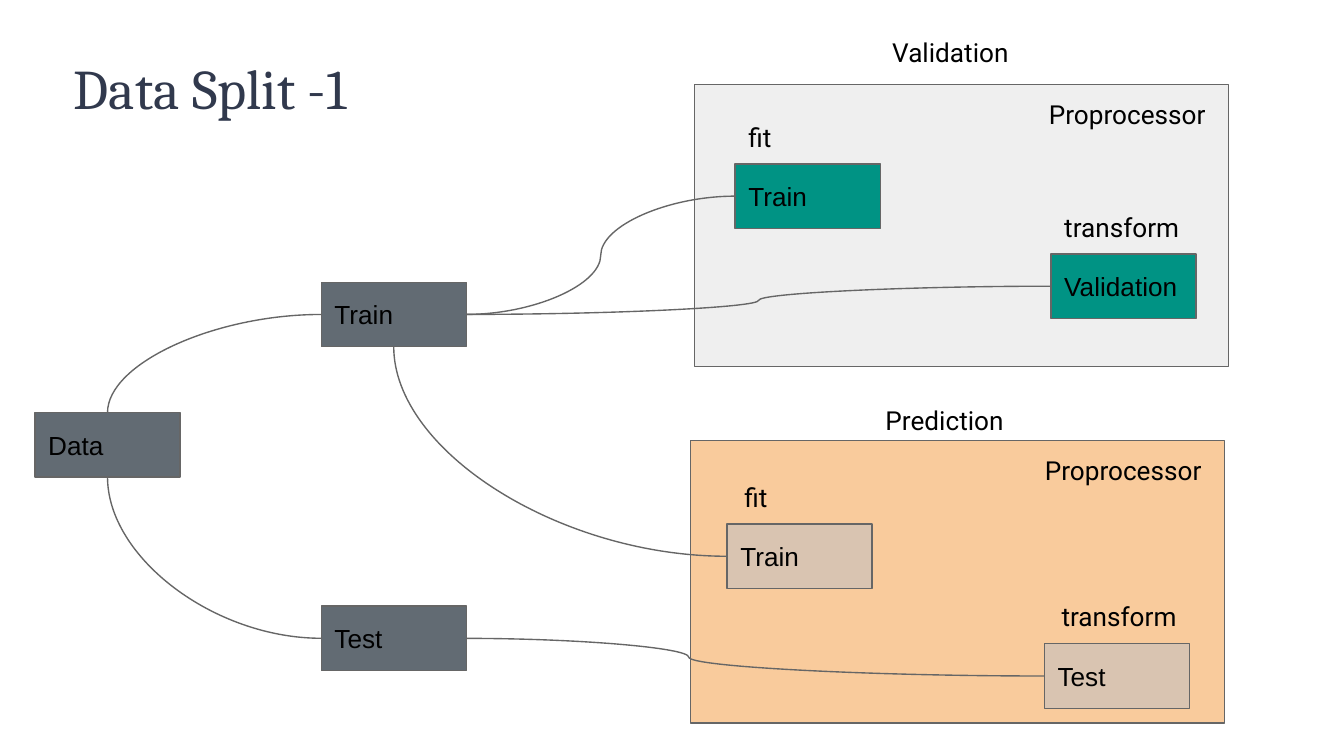
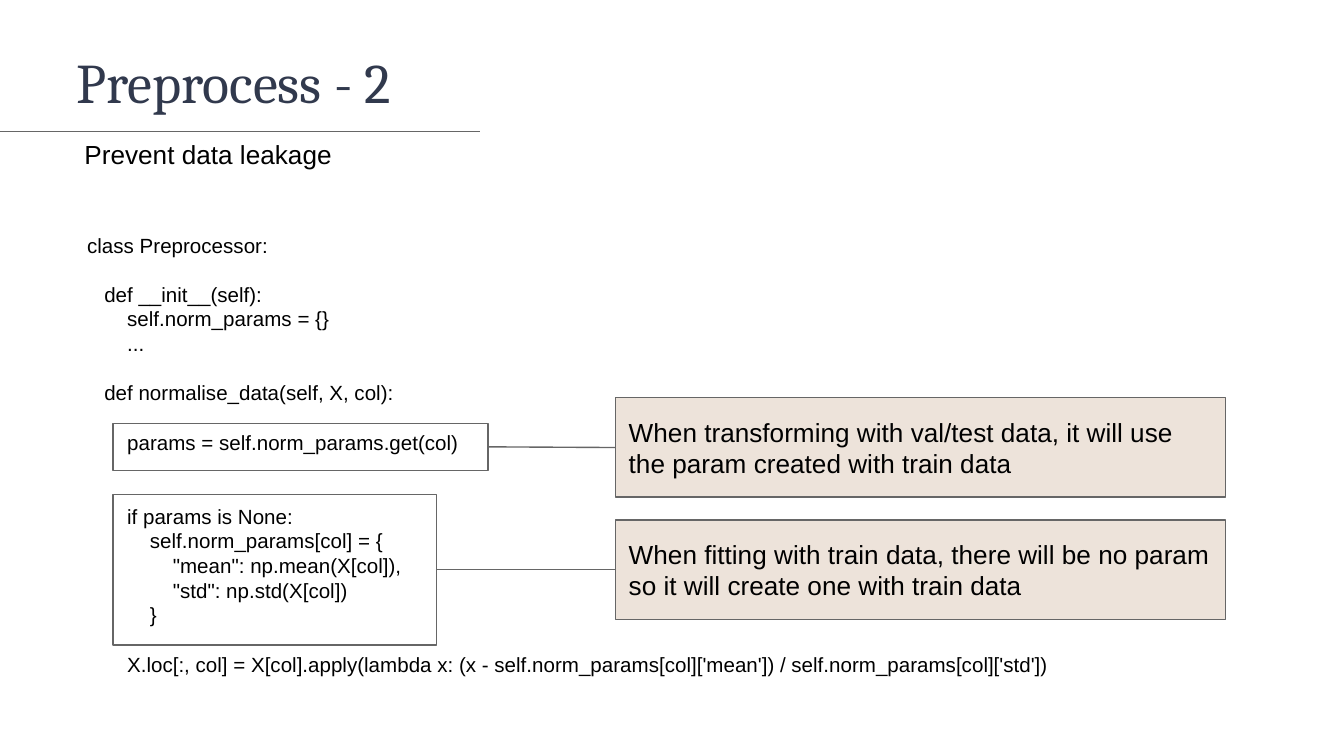
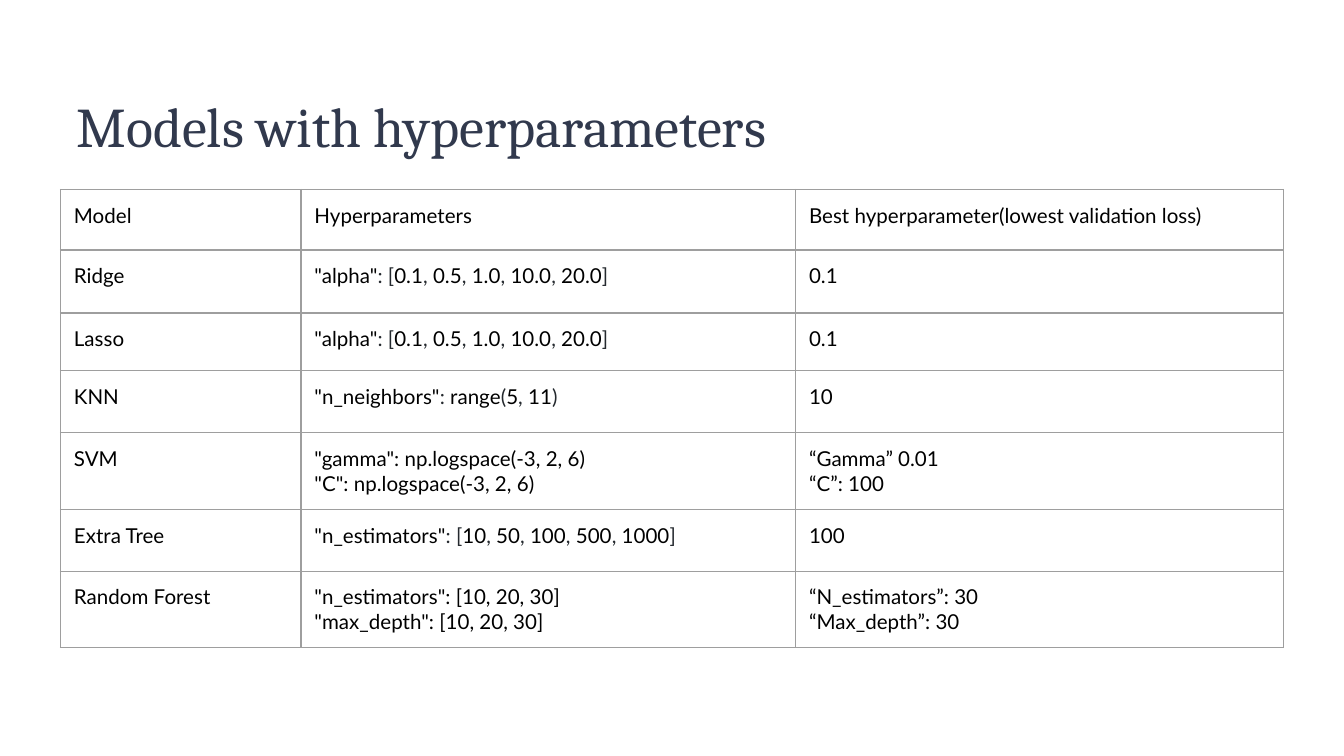
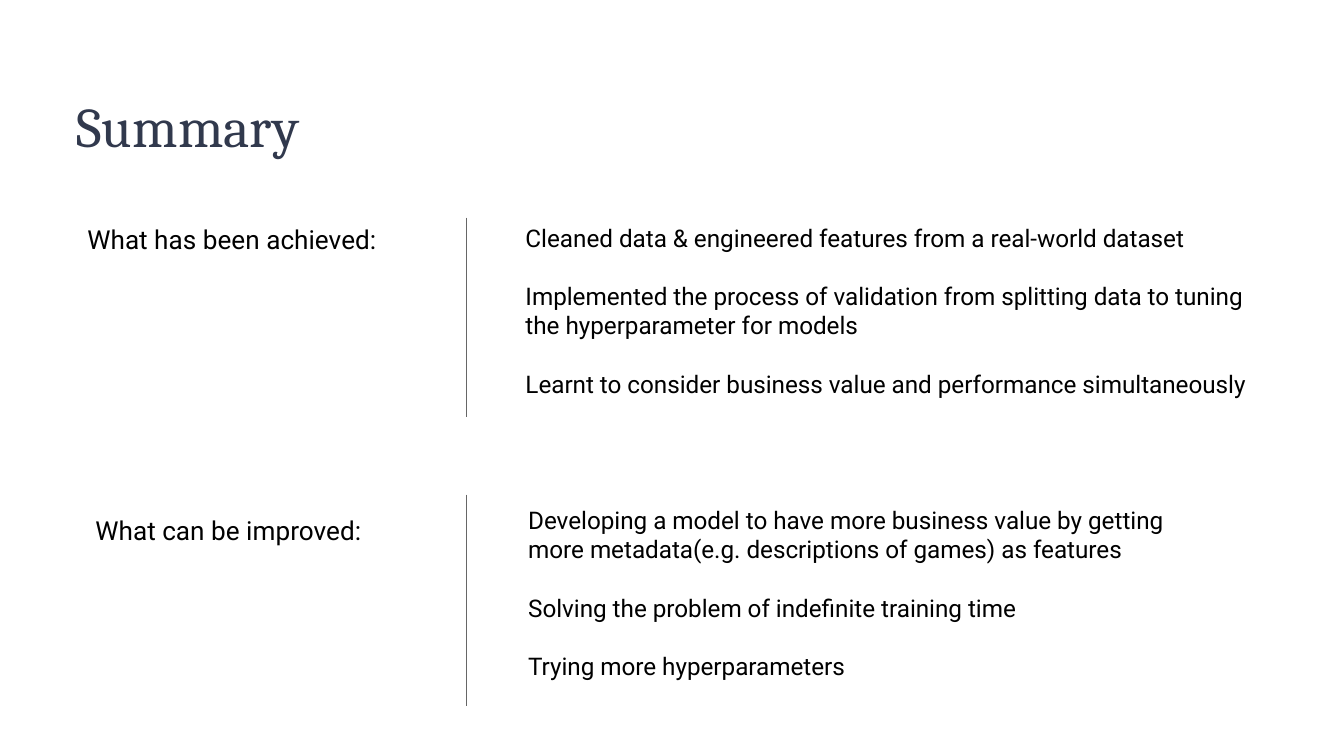
from dataclasses import dataclass
from itertools import groupby

from lxml.etree import SubElement
from pptx import Presentation
from pptx.dml.color import RGBColor
from pptx.enum.shapes import MSO_CONNECTOR, MSO_SHAPE
from pptx.enum.text import MSO_ANCHOR, MSO_AUTO_SIZE, PP_ALIGN
from pptx.oxml.ns import qn
from pptx.util import Inches, Pt

COLORS = {
    "title": "31394D",
    "text": "000000",
    "punctuation": "24292E",
    "line": "666666",
    "table_border": "9E9E9E",
    "data_node": "626B73",
    "validation_panel": "EFEFEF",
    "validation_node": "009384",
    "prediction_panel": "F9CB9C",
    "prediction_node": "D9C4B1",
    "callout": "EDE3DA",
}
GRID_UNIT = 0.1  # inches: the slide is 100 columns by 56.25 rows
NODE_SIZE = (10.8, 4.8)
LABEL_HEIGHT = 4.4
LABEL_RISE = 4.2
LINE_WIDTH = Pt(0.75)
SPACE_WIDTH = 3.06  # points, one space of 11 pt Arial
TITLE_ONLY, COMPARISON = 5, 4
TOP, LEFT, BOTTOM, RIGHT = range(4)


@dataclass
class Box:
    """An area of the slide, in columns and rows."""
    column: float
    row: float
    columns: float
    rows: float

    def inner(self, column, row, columns, rows):
        return Box(self.column + column, self.row + row, columns, rows)

    def emu(self):
        return [Inches(value * GRID_UNIT)
                for value in (self.column, self.row, self.columns, self.rows)]


SLIDE = Box(0, 0, 100, 56.25)


def color(name):
    return RGBColor.from_string(COLORS[name])


def move(shape, box):
    shape.left, shape.top, shape.width, shape.height = box.emu()


def format_text(text_frame, size, font, color_name="text",
                align=PP_ALIGN.LEFT, anchor=MSO_ANCHOR.TOP):
    text_frame.word_wrap = True
    text_frame.auto_size = MSO_AUTO_SIZE.NONE
    text_frame.vertical_anchor = anchor
    text_frame.margin_left = text_frame.margin_right = Inches(0.1)
    text_frame.margin_top = text_frame.margin_bottom = Inches(0.1)
    for paragraph in text_frame.paragraphs:
        paragraph.alignment = align
        paragraph.space_before = Pt(0)
        for run in paragraph.runs:
            format_run(run, size, font, color_name)


def format_run(run, size, font, color_name="text"):
    run.font.size = Pt(size)
    run.font.name = font
    run.font.bold = False
    run.font.color.rgb = color(color_name)


def add_titled_slide(presentation, layout, title, box):
    slide = presentation.slides.add_slide(presentation.slide_layouts[layout])
    move(slide.shapes.title, box)
    text_frame = slide.shapes.title.text_frame
    text_frame.text = title
    format_text(text_frame, 30, "Cambria", "title")
    text_frame.paragraphs[0].space_after = Pt(16)
    return slide


def add_label(slide, text, box, font="Roboto", align=PP_ALIGN.LEFT):
    label = slide.shapes.add_textbox(*box.emu())
    label.text_frame.text = text
    format_text(label.text_frame, 14, font, align=align)


def add_rectangle(slide, box, fill=None, text=""):
    rectangle = slide.shapes.add_shape(MSO_SHAPE.RECTANGLE, *box.emu())
    rectangle.shadow.inherit = False
    if fill:
        rectangle.fill.solid()
        rectangle.fill.fore_color.rgb = color(fill)
    else:
        rectangle.fill.background()
    rectangle.line.color.rgb = color("line")
    rectangle.line.width = LINE_WIDTH
    if text:
        rectangle.text_frame.text = text
        format_text(rectangle.text_frame, 14, "Arial", anchor=MSO_ANCHOR.MIDDLE)
    return rectangle


def add_line(slide, start=(0, 0), end=(0, 0), kind=MSO_CONNECTOR.STRAIGHT):
    points = [Inches(value * GRID_UNIT) for value in (*start, *end)]
    line = slide.shapes.add_connector(kind, *points)
    line.line.color.rgb = color("line")
    line.line.width = LINE_WIDTH
    SubElement(line._element.spPr, qn("a:effectLst"))
    return line


def join(slide, first, first_site, second, second_site, kind=MSO_CONNECTOR.STRAIGHT):
    line = add_line(slide, kind=kind)
    line.begin_connect(first, first_site)
    line.end_connect(second, second_site)
    return line


def join_with_wave(slide, first, second, bend=0.5):
    """Curve from right side to left side, turning at the share `bend`."""
    curve = join(slide, first, RIGHT, second, LEFT, MSO_CONNECTOR.CURVE)
    geometry = curve._element.spPr.find(qn("a:prstGeom"))
    adjustments = geometry.find(qn("a:avLst"))
    if adjustments is None:
        adjustments = SubElement(geometry, qn("a:avLst"))
    SubElement(adjustments, qn("a:gd"), name="adj1", fmla=f"val {round(bend * 100000)}")


def join_with_arc(slide, source, source_site, target):
    """Quarter curve that meets the target's left side horizontally."""
    curve = join(slide, target, LEFT, source, source_site, MSO_CONNECTOR.CURVE)
    curve._element.spPr.find(qn("a:prstGeom")).set("prst", "curvedConnector2")


def add_stage(slide, box, name, heading_at, fit, transform, label_shift):
    """Panel with a fit node and a transform node; returns both nodes."""
    kind = name.lower()
    add_rectangle(slide, box, f"{kind}_panel")
    add_label(slide, name, box.inner(*heading_at, 18.6, LABEL_HEIGHT))
    add_label(slide, "Proprocessor", box.inner(20.4, 0, 18.6, LABEL_HEIGHT),
              align=PP_ALIGN.RIGHT)
    nodes = []
    for action, (text, column, row) in (("fit", fit), ("transform", transform)):
        add_label(slide, action, box.inner(
            column + label_shift, row - LABEL_RISE, NODE_SIZE[0], LABEL_HEIGHT))
        node_box = box.inner(column, row, *NODE_SIZE)
        nodes.append(add_rectangle(slide, node_box, f"{kind}_node", text))
    return nodes


def build_data_split(presentation):
    slide = add_titled_slide(presentation, TITLE_ONLY, "Data Split -1",
                             SLIDE.inner(4.5, 3, 30.2, 8.4))
    train, test, data = [
        add_rectangle(slide, SLIDE.inner(column, row, *NODE_SIZE), "data_node", text)
        for text, column, row in (
            ("Train", 23.9, 21), ("Test", 23.9, 45.1), ("Data", 2.6, 30.7))]
    fit_train, validation = add_stage(
        slide, SLIDE.inner(51.7, 6.3, 39.7, 21), "Validation", (13.7, -4.6),
        ("Train", 3, 5.9), ("Validation", 26.5, 12.6), 0)
    refit_train, final_test = add_stage(
        slide, SLIDE.inner(51.4, 32.8, 39.7, 21), "Prediction", (13.5, -3.7),
        ("Train", 2.7, 6.2), ("Test", 26.3, 15.1), 0.3)

    join_with_wave(slide, train, fit_train)
    join_with_wave(slide, train, validation)
    join_with_wave(slide, test, final_test, bend=0.385)
    join_with_arc(slide, train, BOTTOM, refit_train)
    join_with_arc(slide, data, TOP, train)
    join_with_arc(slide, data, BOTTOM, test)


# Each line of code: blank lines above it, indent in spaces, text
CODE = [
    (0, 0, "class Preprocessor:"),
    (1, 3, "def __init__(self):"),
    (0, 7, "self.norm_params = {}"),
    (0, 7, "..."),
    (1, 3, "def normalise_data(self, X, col):"),
    (1, 7, "params = self.norm_params.get(col)"),
    (2, 7, "if params is None:"),
    (0, 11, "self.norm_params[col] = {"),
    (0, 15, "\"mean\": np.mean(X[col]),"),
    (0, 15, "\"std\": np.std(X[col])"),
    (0, 11, "}"),
    (1, 7, "X.loc[:, col] = X[col].apply(lambda x: (x - self.norm_params[col]['mean'])"
           " / self.norm_params[col]['std'])"),
]


def indent(paragraph, points):
    properties = paragraph._p.get_or_add_pPr()
    properties.set("marL", str(Pt(points)))
    properties.set("indent", "0")


def add_code(slide, box):
    text_frame = slide.shapes.add_textbox(*box.emu()).text_frame
    text_frame.text = "\n".join(text for _, _, text in CODE)
    format_text(text_frame, 11, "Arial")
    for paragraph, (blank_lines, spaces, _) in zip(text_frame.paragraphs, CODE):
        paragraph.space_before = Pt(13.2 * blank_lines)
        indent(paragraph, spaces * SPACE_WIDTH)


def add_callout(slide, code_box, text, box):
    frame = add_rectangle(slide, code_box)
    callout = add_rectangle(slide, box, "callout", text)
    join(slide, frame, RIGHT, callout, LEFT)


def build_preprocess(presentation):
    slide = add_titled_slide(presentation, TITLE_ONLY, "Preprocess - 2",
                             SLIDE.inner(4.7, 2.5, 56.8, 8.4))
    add_line(slide, (0, 9.8), (35.7, 9.8))
    add_label(slide, "Prevent data leakage",
              SLIDE.inner(5.3, 9.3, 31, LABEL_HEIGHT), "Arial")
    add_code(slide, SLIDE.inner(5.5, 16.3, 77.9, 37.2))
    add_callout(slide, SLIDE.inner(8.4, 31.5, 27.9, 3.5),
                "When transforming with val/test data, it will use "
                "the param created with train data",
                SLIDE.inner(45.8, 29.6, 45.4, 7.4))
    add_callout(slide, SLIDE.inner(8.4, 36.8, 24.1, 11.2),
                "When fitting with train data, there will be no param "
                "so it will create one with train data",
                SLIDE.inner(45.8, 38.7, 45.4, 7.4))


MODELS = [
    ("Model", "Hyperparameters", "Best hyperparameter(lowest validation loss)"),
    ("Ridge", "\"alpha\": [0.1, 0.5, 1.0, 10.0, 20.0]", "0.1"),
    ("Lasso", "\"alpha\": [0.1, 0.5, 1.0, 10.0, 20.0]", "0.1"),
    ("KNN", "\"n_neighbors\": range(5, 11)", "10"),
    ("SVM", "\"gamma\": np.logspace(-3, 2, 6)\n\"C\": np.logspace(-3, 2, 6)",
     "“Gamma” 0.01\n“C”: 100"),
    ("Extra Tree", "\"n_estimators\": [10, 50, 100, 500, 1000]", "100"),
    ("Random Forest", "\"n_estimators\": [10, 20, 30]\n\"max_depth\": [10, 20, 30]",
     "“N_estimators”: 30\v“Max_depth”: 30"),
]


def set_borders(cell):
    properties = cell._tc.get_or_add_tcPr()
    for side in ("lnL", "lnR", "lnT", "lnB"):
        border = SubElement(properties, qn(f"a:{side}"), w=str(LINE_WIDTH))
        fill = SubElement(border, qn("a:solidFill"))
        SubElement(fill, qn("a:srgbClr"), val=COLORS["table_border"])


def fill_cell(cell, text):
    set_borders(cell)
    cell.fill.background()
    cell.margin_left = cell.margin_right = Inches(0.1)
    cell.margin_top = cell.margin_bottom = Inches(0.1)
    cell.text = text
    for paragraph in cell.text_frame.paragraphs:
        for run in paragraph.runs:
            format_run(run, 11, "Lato")


def tint_punctuation(paragraph):
    text = paragraph.text
    paragraph.clear()
    for is_punctuation, letters in groupby(text, lambda letter: letter in "[](),: "):
        run = paragraph.add_run()
        run.text = "".join(letters)
        format_run(run, 11, "Lato", "punctuation" if is_punctuation else "text")


def add_model_table(slide, box, column_widths, row_heights):
    table = slide.shapes.add_table(len(MODELS), len(column_widths), *box.emu()).table
    table.first_row = table.horz_banding = False
    for column, width in zip(table.columns, column_widths):
        column.width = Inches(width * GRID_UNIT)
    for row, height, texts in zip(table.rows, row_heights, MODELS):
        row.height = Inches(height * GRID_UNIT)
        for cell, text in zip(row.cells, texts):
            fill_cell(cell, text)
        settings = row.cells[1].text_frame.paragraphs
        if len(settings) == 1:
            tint_punctuation(settings[0])


def build_models(presentation):
    slide = add_titled_slide(presentation, TITLE_ONLY, "Models with hyperparameters",
                             SLIDE.inner(4.7, 5.8, 70.1, 8.4))
    add_model_table(slide, SLIDE.inner(4.5, 14.1, 91, 32.8), (17.9, 36.8, 36.3),
                    (4.5, 4.7, 4.3, 4.6, 4.3, 4.6, 4.8))


def remove_bullet(paragraph):
    indent(paragraph, 0)
    SubElement(paragraph._p.get_or_add_pPr(), qn("a:buNone"))


def fill_body(placeholder, box, items, size):
    move(placeholder, box)
    text_frame = placeholder.text_frame
    text_frame.text = "\n".join(items)
    format_text(text_frame, size, "Roboto")
    for index, paragraph in enumerate(text_frame.paragraphs):
        paragraph.space_before = Pt(15.7 if index else 0)
        remove_bullet(paragraph)


def fill_summary(slide, placeholders, heading, heading_box, items, items_box, rule):
    heading_placeholder, items_placeholder = placeholders
    fill_body(heading_placeholder, heading_box, [heading], 14)
    fill_body(items_placeholder, items_box, items, 13)
    add_line(slide, *[(34.7, row) for row in rule])


def build_summary(presentation):
    slide = add_titled_slide(presentation, COMPARISON, "Summary",
                             SLIDE.inner(4.7, 5.8, 70.1, 8.4))
    bodies = list(slide.placeholders)[1:]
    fill_summary(
        slide, bodies[:2], "What has been achieved:",
        SLIDE.inner(5.5, 15.6, 25.7, LABEL_HEIGHT),
        ["Cleaned data & engineered features from a real-world dataset",
         "Implemented the process of validation from splitting data to tuning "
         "the hyperparameter for models",
         "Learnt to consider business value and performance simultaneously"],
        SLIDE.inner(38.1, 15.6, 56, 15.2), (16.2, 31))
    fill_summary(
        slide, bodies[2:], "What can be improved:",
        SLIDE.inner(6.1, 37.3, 25.7, LABEL_HEIGHT),
        ["Developing a model to have more business value by getting "
         "more metadata(e.g. descriptions of games) as features",
         "Solving the problem of indefinite training time",
         "Trying more hyperparameters"],
        SLIDE.inner(38.3, 36.6, 52.7, 15.2), (36.8, 52.5))


def main():
    presentation = Presentation()
    presentation.slide_width = Inches(SLIDE.columns * GRID_UNIT)
    presentation.slide_height = Inches(SLIDE.rows * GRID_UNIT)
    build_data_split(presentation)
    build_preprocess(presentation)
    build_models(presentation)
    build_summary(presentation)
    presentation.save("out.pptx")


if __name__ == "__main__":
    main()
